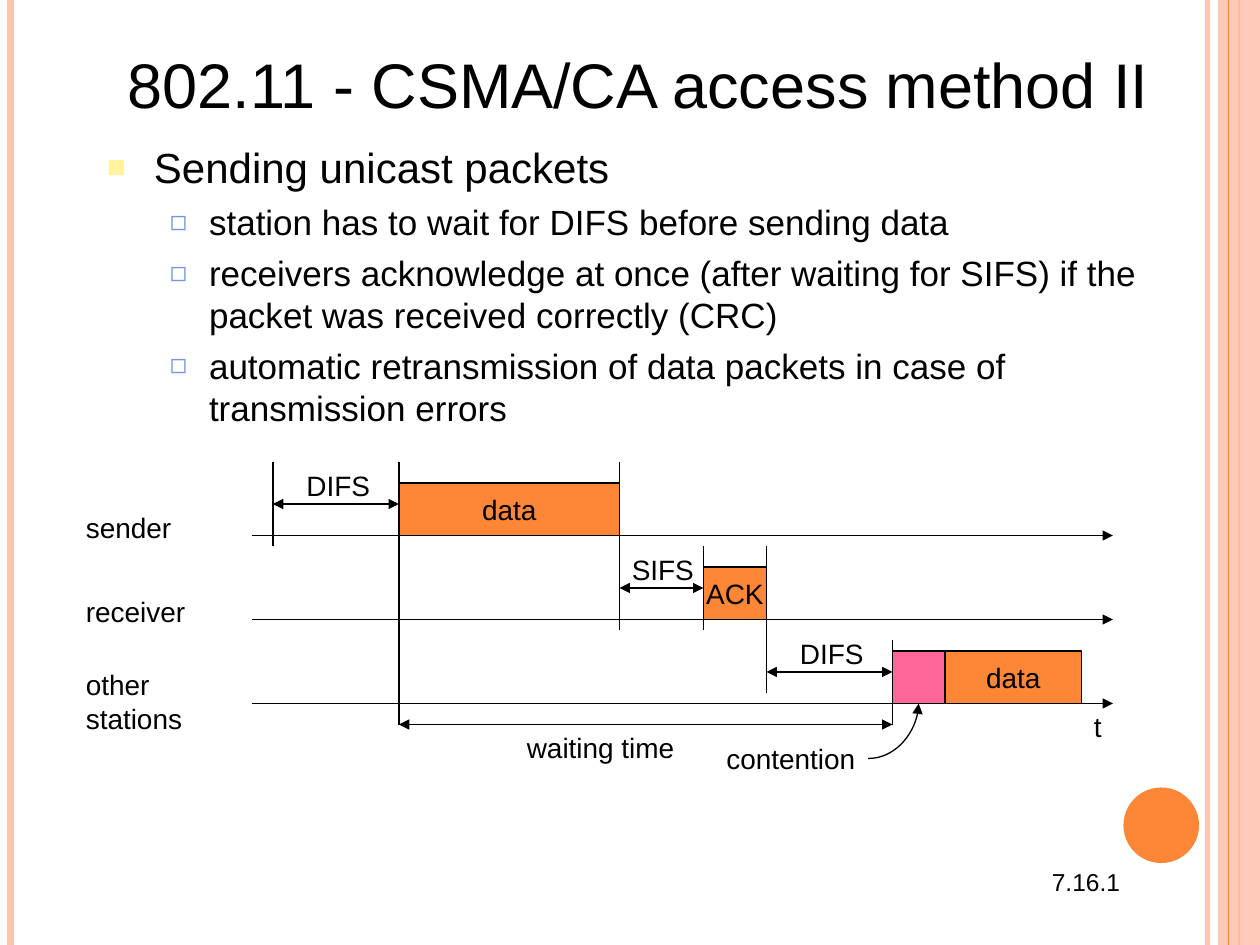
"""Build the slide on the CSMA/CA access method with its timing diagram."""
from lxml.etree import SubElement as Sub
from pptx import Presentation
from pptx.dml.color import RGBColor
from pptx.enum.shapes import MSO_CONNECTOR as Link, MSO_SHAPE as Form
from pptx.enum.text import MSO_ANCHOR as Anchor, PP_ALIGN as Align
from pptx.oxml.ns import qn
from pptx.util import Cm, Pt

UNIT = 2.54 / 12
ORANGE, PEACH, PINK, BLACK = "FE8637", "FEC3AE", "FF6699", "000000"
hue = RGBColor.from_string

deck = Presentation()
deck.slide_width, deck.slide_height = Cm(25.4), Cm(19.05)
slide = deck.slides.add_slide(deck.slide_layouts[6])
shapes = slide.shapes


def draw(x1, y1, x2, y2, color=BLACK, width=0.75, ends=(), kind=Link.STRAIGHT):
    line = shapes.add_connector(kind, *[Cm(n * UNIT) for n in (x1, y1, x2, y2)])
    line.line.color.rgb = hue(color)
    line.line.width = Pt(width)
    for end in ends:
        Sub(line._element.spPr.find(qn("a:ln")), qn("a:" + end), type="triangle")
    Sub(line._element.spPr, qn("a:effectLst"))
    return line


def write(frame, text, size=16, first=True, level=0, before=0, align=Align.LEFT, bullet=None):
    para = frame.paragraphs[0] if first else frame.add_paragraph()
    para.level, para.alignment = level, align
    para.space_before = Pt(before)
    if bullet:
        mark, color, scale, left, hang = bullet
        props = para._p.get_or_add_pPr()
        props.set("marL", str(Cm(left)))
        props.set("indent", str(-Cm(hang)))
        Sub(Sub(props, qn("a:buClr")), qn("a:srgbClr"), val=color)
        Sub(props, qn("a:buSzPct"), val=str(scale * 1000))
        Sub(props, qn("a:buFont"), typeface="Arial")
        Sub(props, qn("a:buChar"), char=mark)
    run = para.add_run()
    run.text = text
    run.font.name, run.font.size = "Arial", Pt(size)
    run.font.color.rgb = hue(BLACK)


edge = draw(115, 0, 115, 90, PEACH, 3)
draw(1, 0, 1, 90, PEACH, 4.5)
draw(118, 0, 118, 90, ORANGE, 1.5)
band = shapes.add_shape(Form.RECTANGLE, *[Cm(n * UNIT) for n in (116, 0, 4, 90)])
draw(117, 0, 117, 90, ORANGE)
disc = shapes.add_shape(Form.OVAL, *[Cm(n * UNIT) for n in (107, 75, 7.2, 7.2)])
for deco, color in ((band, PEACH), (disc, ORANGE)):
    deco.shadow.inherit = False
    deco.fill.solid()
    deco.fill.fore_color.rgb = hue(color)
    deco.line.fill.background()
for deco, alpha in ((edge, 93), (band, 87)):
    for tint in deco._element.spPr.iter(qn("a:srgbClr")):
        Sub(tint, qn("a:alpha"), val=str(alpha * 1000))

title = shapes.add_textbox(*[Cm(n * UNIT) for n in (11, 4.9, 102, 6)]).text_frame
title.word_wrap, title.vertical_anchor = True, Anchor.MIDDLE
write(title, "802.11 - CSMA/CA access method II", size=36)

body = shapes.add_textbox(*[Cm(n * UNIT) for n in (9, 12.9, 102, 25)]).text_frame
body.word_wrap = True
write(body, "Sending unicast packets", size=24, bullet=("■", "FFF39D", 75, 0.95, 0.95))
for point in (
    "station has to wait for DIFS before sending data",
    "receivers acknowledge at once (after waiting for SIFS) if the packet was received correctly (CRC)",
    "automatic retransmission of data packets in case of transmission errors",
):
    write(body, point, size=20, first=False, level=1, before=5,
          bullet=("◻", "7598D9", 80, 2.06, 0.79))

for y in (51, 59, 67):
    draw(24, y, 106, y, ends=["tailEnd"])
for x, top, low in ((26, 44, 52), (38, 44, 69), (59, 44, 60),
                    (67, 52, 60), (73, 52, 66), (85, 61, 69)):
    draw(x, low, x, top)
for x1, x2, y in ((26, 38, 48), (59, 67, 56), (73, 85, 64), (38, 85, 69)):
    draw(x1, y, x2, y, ends=["headEnd", "tailEnd"])

for text, x, y, wide, color in (
    ("data", 38, 46, 21, ORANGE),
    ("ACK", 67, 54, 6, ORANGE),
    ("", 85, 62, 5, PINK),
    ("data", 90, 62, 13, ORANGE),
):
    box = shapes.add_shape(Form.RECTANGLE, *[Cm(n * UNIT) for n in (x, y, wide, 5)])
    box.shadow.inherit = False
    box.fill.solid()
    box.fill.fore_color.rgb = hue(color)
    box.line.color.rgb = hue(BLACK)
    box.line.width = Pt(0.75)
    if text:
        box.text_frame.word_wrap = False
        box.text_frame.vertical_anchor = Anchor.MIDDLE
        write(box.text_frame, text, align=Align.CENTER)

curve = draw(82.68, 72.24, 87.5, 67, ends=["tailEnd"], kind=Link.CURVE)
curve._element.spPr.find(qn("a:prstGeom")).set("prst", "curvedConnector2")

for rows, x, y, wide, size in (
    (["sender"], 7, 48, 11, 16),
    (["receiver"], 7, 56, 12.4, 16),
    (["other", "stations"], 7, 63, 12, 16),
    (["DIFS"], 28, 44, 9, 16),
    (["SIFS"], 59, 52, 9, 16),
    (["DIFS"], 75, 60, 9, 16),
    (["waiting time"], 49, 69, 17, 16),
    (["contention"], 68, 70, 15, 16),
    (["t"], 103, 67, 3.6, 16),
    (["7.16.1"], 99, 82, 9.4, 14),
):
    high = 1.2 + len(rows) * size * 0.2
    label = shapes.add_textbox(*[Cm(n * UNIT) for n in (x, y, wide, high)]).text_frame
    label.word_wrap = True
    for i, row in enumerate(rows):
        write(label, row, size=size, first=i == 0)

deck.save("out.pptx")
